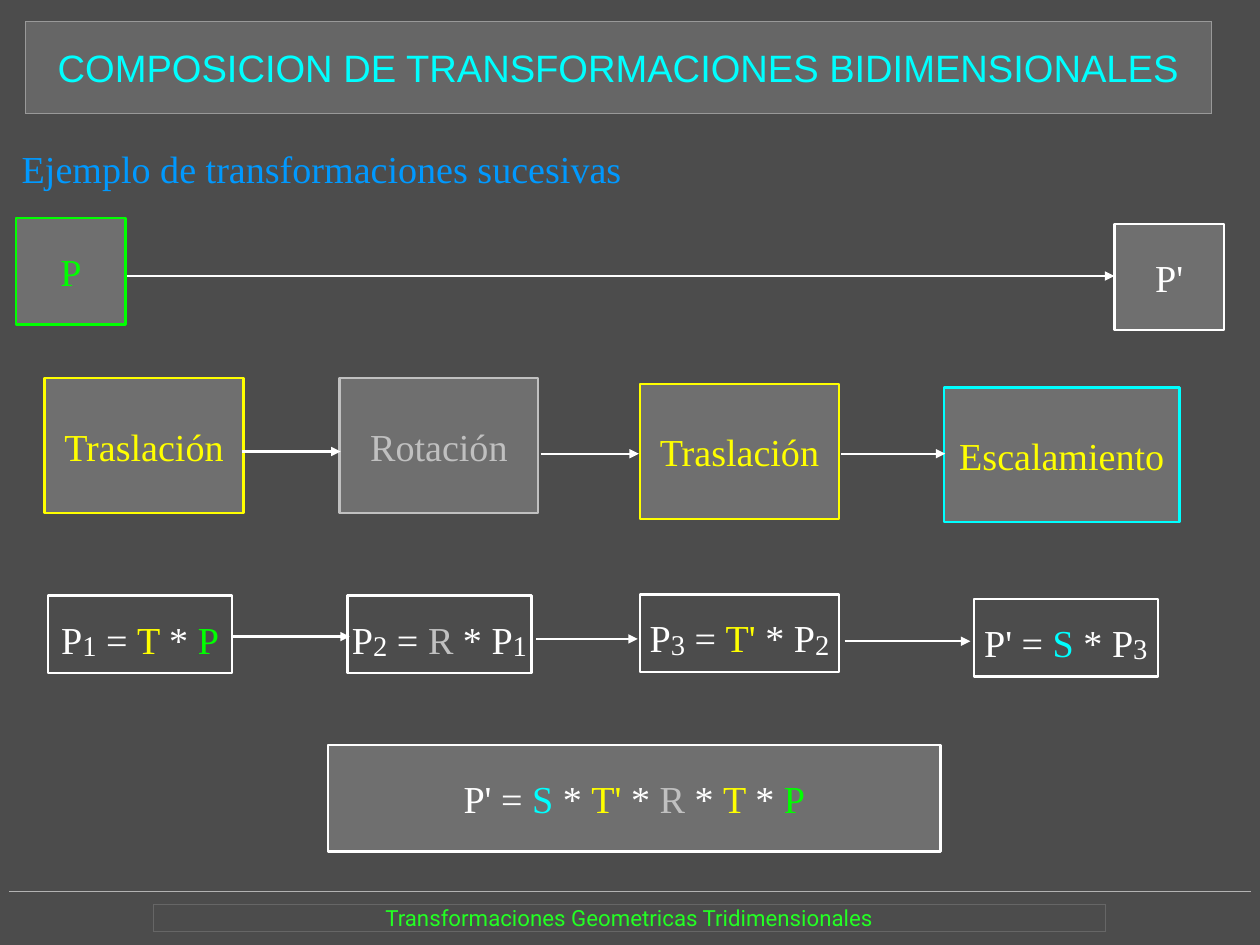
from lxml.etree import SubElement
from pptx import Presentation
from pptx.dml.color import RGBColor
from pptx.enum.shapes import MSO_CONNECTOR as LINK, MSO_SHAPE as SHAPE
from pptx.enum.text import MSO_ANCHOR as ANCHOR, MSO_AUTO_SIZE as AUTO, PP_ALIGN as ALIGN
from pptx.oxml.ns import qn
from pptx.util import Cm, Inches, Pt

WHITE = RGBColor(0xFF, 0xFF, 0xFF)
YELLOW = RGBColor(0xFF, 0xFF, 0x00)
CYAN = RGBColor(0x00, 0xFF, 0xFF)
GREEN = RGBColor(0x00, 0xFF, 0x00)
LIME = RGBColor(0x23, 0xFF, 0x23)
BLUE = RGBColor(0x00, 0x99, 0xFF)
SILVER = RGBColor(0xC0, 0xC0, 0xC0)
RULE = RGBColor(0xB3, 0xB3, 0xB3)
EDGE = RGBColor(0x99, 0x99, 0x99)
PANEL = RGBColor(0x66, 0x66, 0x66)
BACK = RGBColor(0x4C, 0x4C, 0x4C)
SERIF = "Times New Roman"
STROKE, HAIR = 1.45, 0.01


def grid(*cells):
    """Lengths in grid cells, ten to the inch."""
    return [Inches(cell / 10) for cell in cells]


def write(shape, runs, font=SERIF, size=24, align=ALIGN.CENTER, wrap=True, inset=0):
    frame = shape.text_frame
    margin = Inches(inset)
    look = {"auto_size": AUTO.NONE, "word_wrap": wrap, "vertical_anchor": ANCHOR.MIDDLE,
            "margin_left": margin, "margin_right": margin,
            "margin_top": margin, "margin_bottom": margin}
    for name, value in look.items():
        setattr(frame, name, value)
    para = frame.paragraphs[0]
    para.alignment = align
    for text, color in runs:
        run = para.add_run()
        run.text = text
        low = text.isdigit()  # digits are subscripts
        for name, value in {"name": font, "size": Pt(31 if low else size)}.items():
            setattr(run.font, name, value)
        run.font.color.rgb = color
        if low:
            run.font._element.set("baseline", "-5000")


def outline(shape, color, width):
    shape.line.color.rgb = color
    shape.line.width = Pt(width)


def card(slide, box, runs, color, glass=True):
    shape = slide.shapes.add_shape(SHAPE.RECTANGLE, *grid(*box))
    shape.shadow.inherit = False
    outline(shape, color, STROKE)
    if glass:
        shape.fill.solid()
        shape.fill.fore_color.rgb = WHITE
        tint = shape._element.spPr.find(qn("a:solidFill"))[0]
        SubElement(tint, qn("a:alpha")).set("val", "20000")
    else:
        shape.fill.background()
    write(shape, runs, wrap=False, inset=0.01)


def line(slide, start, end, y, color=WHITE, width=STROKE, head=True):
    link = slide.shapes.add_connector(LINK.STRAIGHT, *grid(start, y, end, y))
    outline(link, color, width)
    props = link._element.spPr
    if head:
        SubElement(props.find(qn("a:ln")), qn("a:tailEnd")).set("type", "triangle")
    SubElement(props, qn("a:effectLst"))


def header(slide, box):
    left, top, width, height = box
    title = slide.shapes.title
    spots = grid(*box)
    for name, value in zip(("left", "top", "width", "height"), spots):
        setattr(title, name, value)
    title.fill.solid()
    title.fill.fore_color.rgb = PANEL
    outline(title, EDGE, HAIR)
    write(title, [("COMPOSICION DE TRANSFORMACIONES BIDIMENSIONALES", CYAN)], "Arial")
    lead = slide.shapes.add_textbox(*grid(left - 0.3, top + 10.8, 94.1, 4))
    write(lead, [("Ejemplo de transformaciones sucesivas", BLUE)], align=ALIGN.LEFT)


def flow(slide, box, cards, links, glass=True):
    """A row of cards joined by arrows, placed relative to the box."""
    left, top, height = box
    for x, y, width, color, runs in cards:
        card(slide, (left + x, top + y, width, height), runs, color, glass)
    for start, end, y in links:
        line(slide, left + start, left + end, top + y)


def footer(slide, box):
    left, top, width, height = box
    line(slide, left, left + width, top, RULE, HAIR, False)
    label = slide.shapes.add_shape(
        SHAPE.RECTANGLE, *grid(left + 12.6, top + 1.1, 83.3, height - 1.1))
    label.shadow.inherit = False
    label.fill.background()
    outline(label, PANEL, HAIR)
    write(label, [("Transformaciones Geometricas Tridimensionales", LIME)], "Roboto", 14)


def formula(digit, name, color, last):
    """Runs for one product: P with an index = matrix * previous point."""
    point = [("P", WHITE), (digit, WHITE), (" = ", WHITE)] if digit else [("P' = ", WHITE)]
    return point + [(name + " ", color)] + last


def prior(digit):
    return [("* P", WHITE), (digit, WHITE)]


def main():
    deck = Presentation()
    deck.slide_width, deck.slide_height = Cm(28), Cm(21)
    slide = deck.slides.add_slide(deck.slide_layouts[5])
    slide.background.fill.solid()
    slide.background.fill.fore_color.rgb = BACK

    footer(slide, (0.8, 78, 108.6, 3.5))
    header(slide, (2.2, 1.9, 103.8, 8))

    # Start and end points
    flow(slide, (1.4, 19.1, 9.3),
         [(0, 0, 9.6, GREEN, [("P", GREEN)]),
          (96.1, 0.5, 9.6, WHITE, [("P'", WHITE)])],
         [(9.7, 96.1, 5.05)])

    # Successive steps
    flow(slide, (3.9, 33.1, 11.8),
         [(0, 0, 17.4, YELLOW, [("Traslación", YELLOW)]),
          (25.8, 0, 17.4, SILVER, [("Rotación", SILVER)]),
          (52.1, 0.5, 17.4, YELLOW, [("Traslación", YELLOW)]),
          (78.7, 0.8, 20.6, CYAN, [("Escalamiento", YELLOW)])],
         [(17.3, 25.9, 6.4), (43.4, 52, 6.6), (69.7, 78.8, 6.6)])

    # Formula of each step
    first = [("* ", WHITE), ("P", GREEN)]
    flow(slide, (4.2, 52, 6.8),
         [(0, 0.1, 16.1, WHITE, formula("1", "T", YELLOW, first)),
          (26.2, 0.1, 16.1, WHITE, formula("2", "R", SILVER, prior("1"))),
          (51.8, 0, 17.4, WHITE, formula("3", "T'", YELLOW, prior("2"))),
          (81, 0.4, 16.1, WHITE, formula("", "S", CYAN, prior("3")))],
         [(16.2, 26.4, 3.7), (42.7, 51.6, 3.9), (69.7, 80.7, 4.1)], False)

    # Combined product
    chain = [("P' = ", WHITE)]
    for name, color in (("S", CYAN), ("T'", YELLOW), ("R", SILVER), ("T", YELLOW)):
        chain += [(name + " ", color), ("* ", WHITE)]
    card(slide, (28.7, 65.2, 53.6, 9.3), chain + [("P", GREEN)], WHITE)

    deck.save("out.pptx")


if __name__ == "__main__":
    main()
